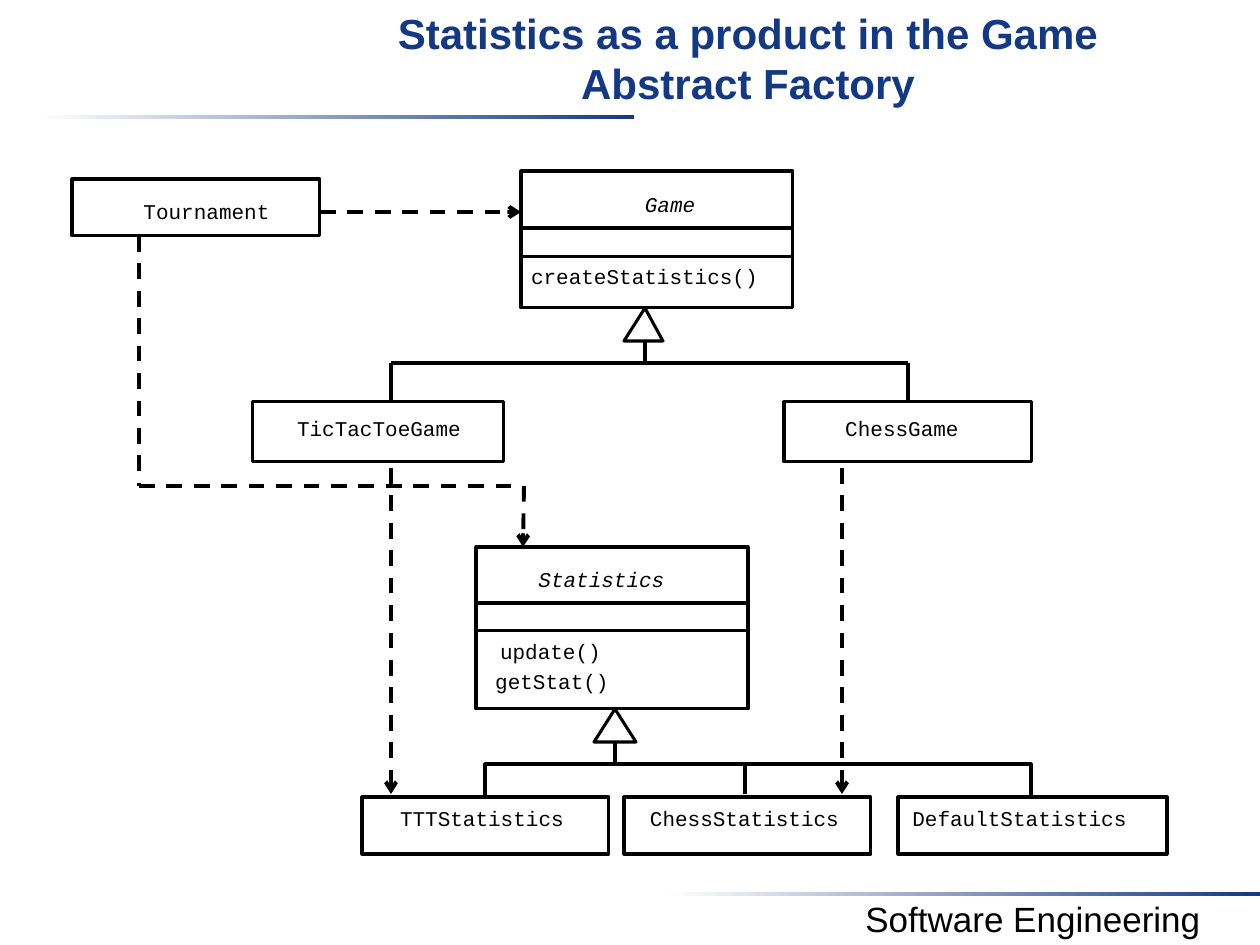
from lxml import etree
from pptx import Presentation
from pptx.dml.color import RGBColor
from pptx.enum.dml import MSO_LINE
from pptx.enum.shapes import MSO_CONNECTOR, MSO_SHAPE
from pptx.enum.text import MSO_AUTO_SIZE, PP_ALIGN
from pptx.oxml.ns import qn
from pptx.util import Emu, Pt

STRAIGHT, RECT = MSO_CONNECTOR.STRAIGHT, MSO_SHAPE.RECTANGLE
DASH, CENTER = MSO_LINE.DASH, PP_ALIGN.CENTER
GROW, FIXED = MSO_AUTO_SIZE.SHAPE_TO_FIT_TEXT, MSO_AUTO_SIZE.NONE
SCALE = 914400 / 126
BLACK, WHITE, NAVY = "000000", "FFFFFF", "133984"
THIN, THICK = 1.75, 2.25
PAD = (13, 6, 13, 6)

TITLE = "Statistics as a product in the Game Abstract Factory"
FOOTER = "Software Engineering"
BARS = [(39, 115), (665, 892)]

# name, (left, top, width, height)
BOXES = [
    ("Tournament", (72, 179, 248, 57)),
    ("Game", (521, 171, 272, 57)),
    ("Game fields", (521, 229, 272, 28)),
    ("Game methods", (521, 257, 272, 51)),
    ("TicTacToeGame", (253, 402, 251, 60)),
    ("ChessGame", (784, 402, 248, 60)),
    ("Statistics", (476, 547, 272, 57)),
    ("Statistics fields", (476, 603, 272, 28)),
    ("Statistics methods", (476, 631, 272, 78)),
    ("TTTStatistics", (362, 797, 247, 57)),
    ("ChessStatistics", (624, 797, 247, 57)),
    ("DefaultStatistics", (898, 797, 269, 57)),
]

# text, left, top, width, italic
LABELS = [
    ("Tournament", 142, 199, 129, False),
    ("Game", 643, 192, 54, True),
    ("createStatistics()", 530, 264, 229, False),
    ("TicTacToeGame", 296, 416, 166, False),
    ("ChessGame", 844, 416, 116, False),
    ("Statistics", 537, 567, 129, True),
    ("update()", 499, 639, 103, False),
    ("getStat()", 494, 669, 116, False),
    ("TTTStatistics", 399, 806, 166, False),
    ("ChessStatistics", 649, 806, 191, False),
    ("DefaultStatistics", 911, 806, 217, False),
]

# points, closed
OUTLINES = [
    ([(645, 341), (624, 341), (645, 308), (663, 341)], True),
    ([(615, 742), (594, 742), (615, 709), (636, 742)], True),
    ([(485, 796), (485, 764), (745, 764), (745, 794)], False),
    ([(745, 764), (1031, 764), (1031, 796)], False),
]

# from, to, width, dashed, arrow
LINES = [
    ((615, 764), (615, 742), THIN, False, False),
    ((645, 363), (645, 341), THIN, False, False),
    ((320, 212), (521, 212), THICK, True, True),
    ((842, 468), (842, 794), THICK, True, True),
    ((391, 468), (391, 794), THICK, True, True),
    ((524, 486), (523, 547), THICK, True, True),
    ((139, 236), (139, 486), THICK, True, False),
    ((139, 486), (521, 486), THICK, True, False),
    ((391, 402), (391, 363), THICK, False, False),
    ((908, 402), (908, 363), THICK, False, False),
    ((391, 363), (908, 363), THICK, False, False),
]


def px(*nums):
    return [Emu(int(n * SCALE)) for n in nums]


def rgb(code):
    return RGBColor.from_string(code)


def stroke(shape, width):
    shape.line.color.rgb = rgb(BLACK)
    shape.line.width = Pt(width)


def add_bar(left, top):
    bar = slide.shapes.add_shape(RECT, *px(left, top, 595, 4))
    bar.shadow.inherit = False
    bar.line.fill.background()
    bar.fill.gradient()
    bar.fill.gradient_angle = 0
    for stop, code, pos in zip(bar.fill.gradient_stops, (WHITE, NAVY), (0, 1)):
        stop.color.rgb = rgb(code)
        stop.position = pos


def add_text(text, place, size, font="Arial", color=BLACK, pad=PAD,
             label=False, bold=False, italic=False):
    frame = slide.shapes.add_textbox(*px(*place)).text_frame
    frame.word_wrap = not label
    frame.auto_size = GROW if label else FIXED
    (frame.margin_left, frame.margin_top,
     frame.margin_right, frame.margin_bottom) = px(*pad)
    para = frame.paragraphs[0]
    para.alignment = CENTER
    run = para.add_run()
    run.text = text
    run.font.name, run.font.size = font, Pt(size)
    run.font.bold, run.font.italic = bold, italic
    run.font.color.rgb = rgb(color)


def add_box(place):
    box = slide.shapes.add_shape(RECT, *px(*place))
    box.shadow.inherit = False
    box.fill.background()
    stroke(box, THIN)
    return box


def add_outline(points, closed):
    pen = slide.shapes.build_freeform(*points[0], scale=SCALE)
    pen.add_line_segments(points[1:], close=closed)
    shape = pen.convert_to_shape()
    shape.shadow.inherit = False
    shape.fill.background()
    stroke(shape, THIN)


def join(line, start):
    """Attach the line's start to a box whose top middle lies there."""
    for name, (left, top, width, _) in BOXES:
        if start == (left + width / 2, top):
            line.begin_connect(boxes[name], 0)


def add_line(start, end, width, dashed, arrow):
    line = slide.shapes.add_connector(STRAIGHT, *px(*start, *end))
    stroke(line, width)
    if dashed:
        line.line.dash_style = DASH
    if arrow:
        ln = line.line._get_or_add_ln()
        etree.SubElement(ln, qn("a:tailEnd"), type="arrow")
    etree.SubElement(line._element.spPr, qn("a:effectLst"))
    join(line, start)


deck = Presentation()
deck.slide_width, deck.slide_height = px(1260, 945)
slide = deck.slides.add_slide(deck.slide_layouts[6])

for bar in BARS:
    add_bar(*bar)
add_text(FOOTER, (806, 892, 454, 53), 20)
add_text(TITLE, (299, 0, 898, 95), 24, color=NAVY, pad=(13, 7, 13, 6), bold=True)
boxes = {name: add_box(place) for name, place in BOXES}
for text, left, top, width, italic in LABELS:
    add_text(text, (left, top, width, 25), 12, "Courier New",
             pad=(0, 0, 0, 0), label=True, italic=italic)
for outline in OUTLINES:
    add_outline(*outline)
for item in LINES:
    add_line(*item)

deck.save("out.pptx")
